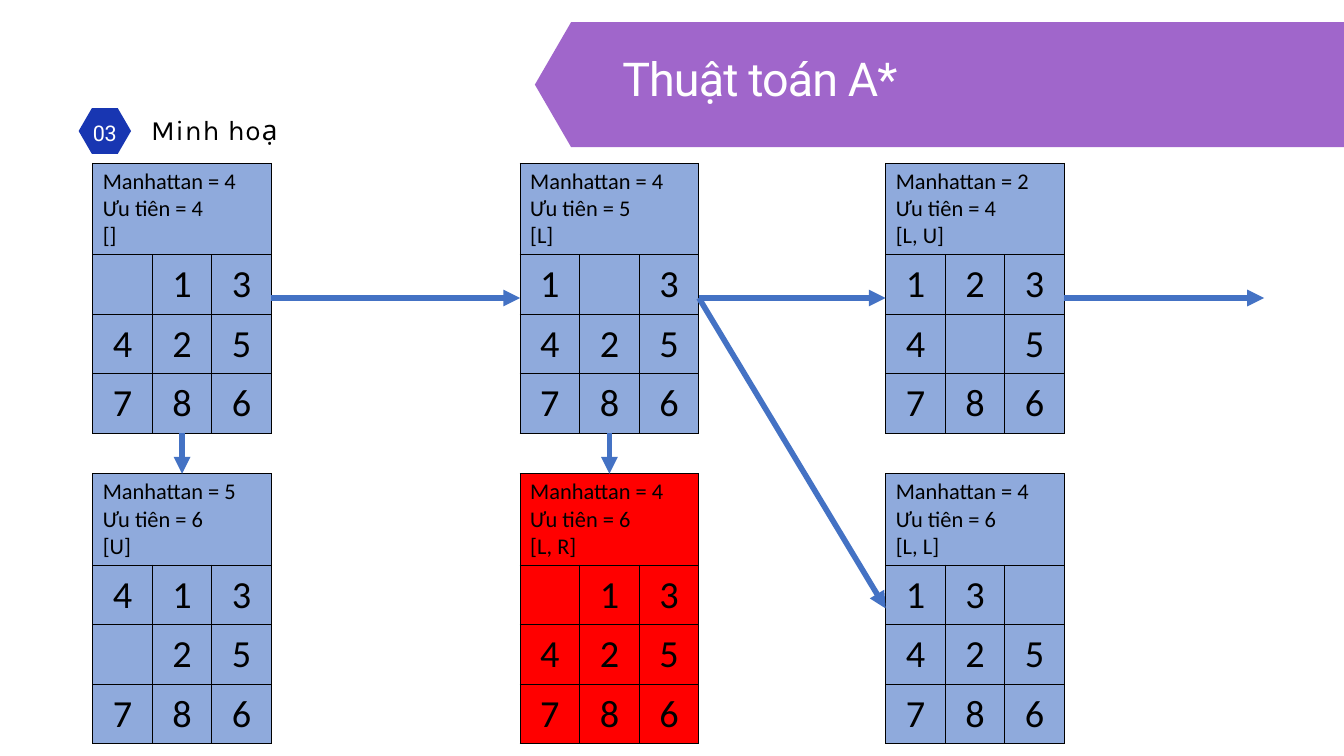
from lxml import etree
from pptx import Presentation
from pptx.dml.color import RGBColor
from pptx.enum.shapes import MSO_CONNECTOR, MSO_SHAPE
from pptx.enum.text import MSO_ANCHOR, MSO_AUTO_SIZE, PP_ALIGN
from pptx.oxml.ns import qn
from pptx.util import Inches, Pt

HEXAGON = MSO_SHAPE.HEXAGON
STRAIGHT = MSO_CONNECTOR.STRAIGHT
TOP, MIDDLE = MSO_ANCHOR.TOP, MSO_ANCHOR.MIDDLE
LEFT, CENTER = PP_ALIGN.LEFT, PP_ALIGN.CENTER
NO_AUTOFIT = MSO_AUTO_SIZE.NONE

THEME = {
    "banner": "A066CB", "badge": "1836B2", "arrow": "4472C4",
    "board": "8FAADC", "repeat": "FF0000", "ink": "000000", "paper": "FFFFFF",
    "body_font": "Calibri", "head_font": "Roboto", "label_font": "Karla",
    "title_size": 50, "label_size": 30, "badge_size": 23.1,
    "state_size": 24, "tile_size": 41, "arrow_width": 6,
}

# Board grid
COLS = [1.38, 7.74, 13.18]
ROWS = [2.43, 7.05]
BOARD_W, BOARD_H, HEADER_H = 2.66, 4.01, 1.35
TILE_W, TILE_H = BOARD_W / 3, (BOARD_H - HEADER_H) / 3


def style(p, font, size, color, align=LEFT, spacing=None, tracking=0):
    """Format a paragraph and its runs alike."""
    p.alignment = align
    if spacing:
        p.line_spacing = Pt(spacing)
    for f in [p.font] + [r.font for r in p.runs]:
        f.name, f.size = THEME[font], Pt(THEME[size])
        f.color.rgb = RGBColor.from_string(THEME[color])
    for r in p.runs:
        if tracking:
            r.font._element.set("spc", str(int(tracking * 100)))


def place_text(sp, box, text, *look):
    """Place a text shape without margins and format its one line."""
    sp.left, sp.top, sp.width, sp.height = map(Inches, box)
    tf = sp.text_frame
    tf.text = text
    tf.word_wrap, tf.auto_size, tf.vertical_anchor = True, NO_AUTOFIT, TOP
    tf.margin_left = tf.margin_right = tf.margin_top = tf.margin_bottom = 0
    style(tf.paragraphs[0], *look)


prs = Presentation()
prs.slide_width, prs.slide_height = Inches(20), Inches(11.25)
s = prs.slides.add_slide(prs.slide_layouts[5])

# Puzzle boards: column, row, Manhattan distance, priority, moves, tiles, fill
boards = [
    (0, 0, 4, 4, "[]", " 13425786", "board"),
    (1, 0, 4, 5, "[L]", "1 3425786", "board"),
    (2, 0, 2, 4, "[L, U]", "1234 5786", "board"),
    (0, 1, 5, 6, "[U]", "413 25786", "board"),
    (1, 1, 4, 6, "[L, R]", " 13425786", "repeat"),
    (2, 1, 4, 6, "[L, L]", "13 425786", "board"),
]
for col, row, distance, priority, moves, tiles, fill in boards:
    table = s.shapes.add_table(4, 3, Inches(COLS[col]), Inches(ROWS[row]),
                               Inches(BOARD_W), Inches(BOARD_H)).table
    table.first_row = table.horz_banding = False
    for column in table.columns:
        column.width = Inches(TILE_W)
    for i, table_row in enumerate(table.rows):
        table_row.height = Inches(TILE_H if i else HEADER_H)

    # Borders, fill and margins
    for cell in table.iter_cells():
        tcPr = cell._tc.get_or_add_tcPr()
        for side in ("lnL", "lnR", "lnT", "lnB"):
            ln = etree.SubElement(tcPr, qn(f"a:{side}"), w=str(Pt(1)))
            line_fill = etree.SubElement(ln, qn("a:solidFill"))
            etree.SubElement(line_fill, qn("a:srgbClr"), val=THEME["ink"])
        cell.fill.solid()
        cell.fill.fore_color.rgb = RGBColor.from_string(THEME[fill])
        cell.vertical_anchor = MIDDLE
        cell.margin_left = cell.margin_right = Inches(0.15)
        cell.margin_top = cell.margin_bottom = Inches(0.07)

    # State summary above the tiles
    header = table.cell(0, 0)
    header.merge(table.cell(0, 2))
    header.text = f"Manhattan = {distance}\vƯu tiên = {priority}\n{moves}"
    for p in header.text_frame.paragraphs:
        style(p, "body_font", "state_size", "ink")

    for i, tile in enumerate(tiles):
        if tile != " ":
            cell = table.cell(1 + i // 3, i % 3)
            cell.text = tile
            style(cell.text_frame.paragraphs[0], "body_font", "tile_size", "ink", CENTER)

# Arrows between boards
right = [x + BOARD_W for x in COLS]
center = [x + BOARD_W / 2 for x in COLS]
middle = [y + BOARD_H / 2 for y in ROWS]
bottom = ROWS[0] + BOARD_H
arrows = [
    (right[0], middle[0], COLS[1], middle[0]),
    (center[0], bottom, center[0], ROWS[1]),
    (center[1], bottom, center[1], ROWS[1]),
    (right[1], middle[0], COLS[2], middle[1]),
    (right[1], middle[0], COLS[2], middle[0]),
    (right[2], middle[0], 18.81, middle[0]),
]
for ends in arrows:
    arrow = s.shapes.add_connector(STRAIGHT, *map(Inches, ends))
    arrow.line.color.rgb = RGBColor.from_string(THEME["arrow"])
    arrow.line.width = Pt(THEME["arrow_width"])
    etree.SubElement(arrow.line._get_or_add_ln(), qn("a:tailEnd"), type="triangle")
    etree.SubElement(arrow._element.spPr, qn("a:effectLst"))

# Section badge and title banner
for fill, box in [("badge", (1.17, 1.61, 0.78, 0.68)),
                  ("banner", (7.96, 0.33, 14.13, 1.86))]:
    sp = s.shapes.add_shape(HEXAGON, *map(Inches, box))
    sp.adjustments[0] = 0.29
    sp.shadow.inherit = False
    sp.fill.solid()
    sp.fill.fore_color.rgb = RGBColor.from_string(THEME[fill])
    sp.line.fill.background()

# Section number and label
place_text(s.shapes.add_textbox(0, 0, 0, 0), (1.34, 1.72, 0.44, 0.42), "03",
           "head_font", "badge_size", "paper", CENTER, 32.4, -0.5)
place_text(s.shapes.add_textbox(0, 0, 0, 0), (2.25, 1.68, 6.15, 0.49), "Minh hoạ",
           "label_font", "label_size", "ink", LEFT, 36, 0.9)

# Title, brought in front of its banner
title = s.shapes.title
s.shapes._spTree.append(title._element)
place_text(title, (9.26, 0.6, 10.92, 0.92), "Thuật toán A*",
           "head_font", "title_size", "paper", LEFT, 70, -1)

prs.save("out.pptx")
